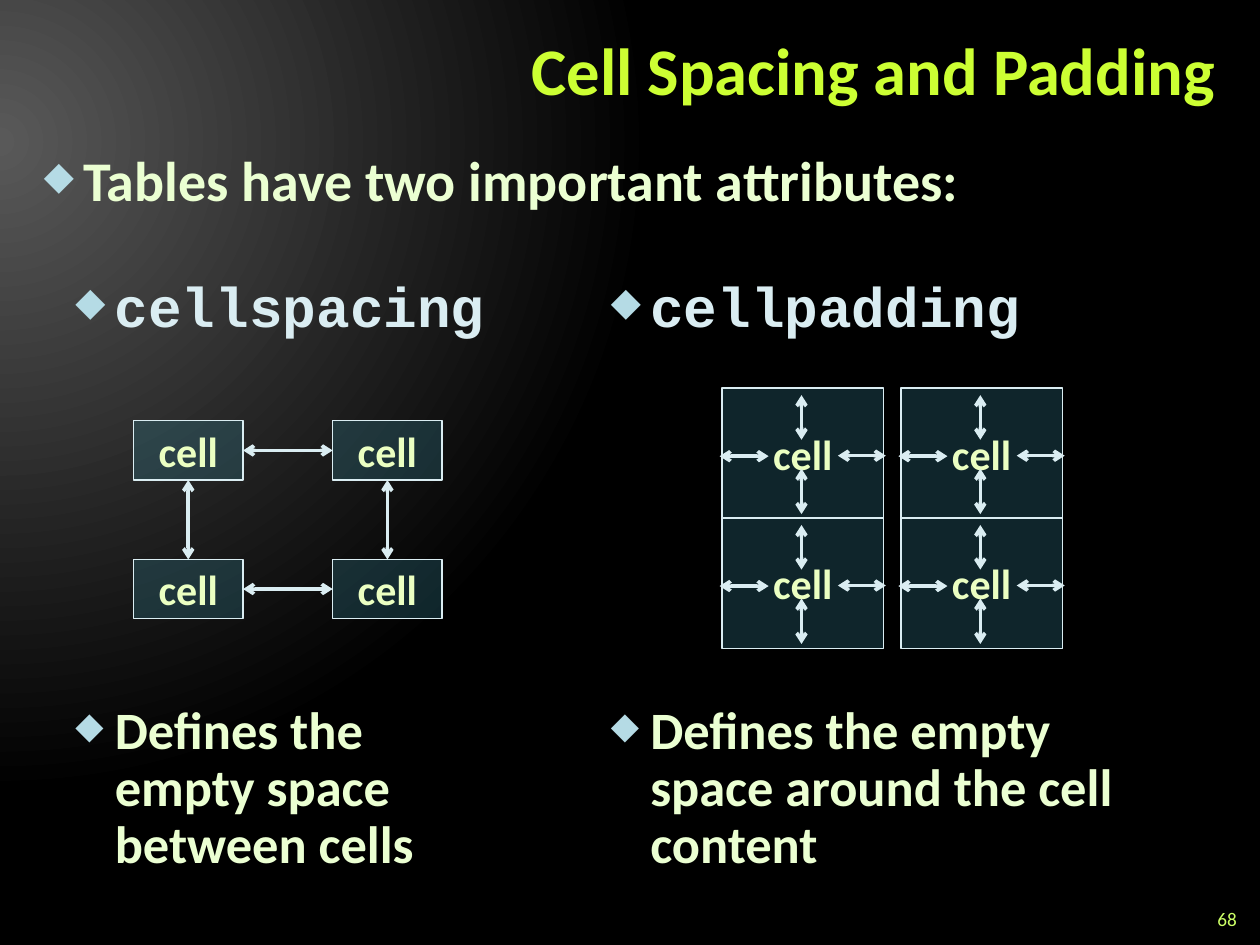
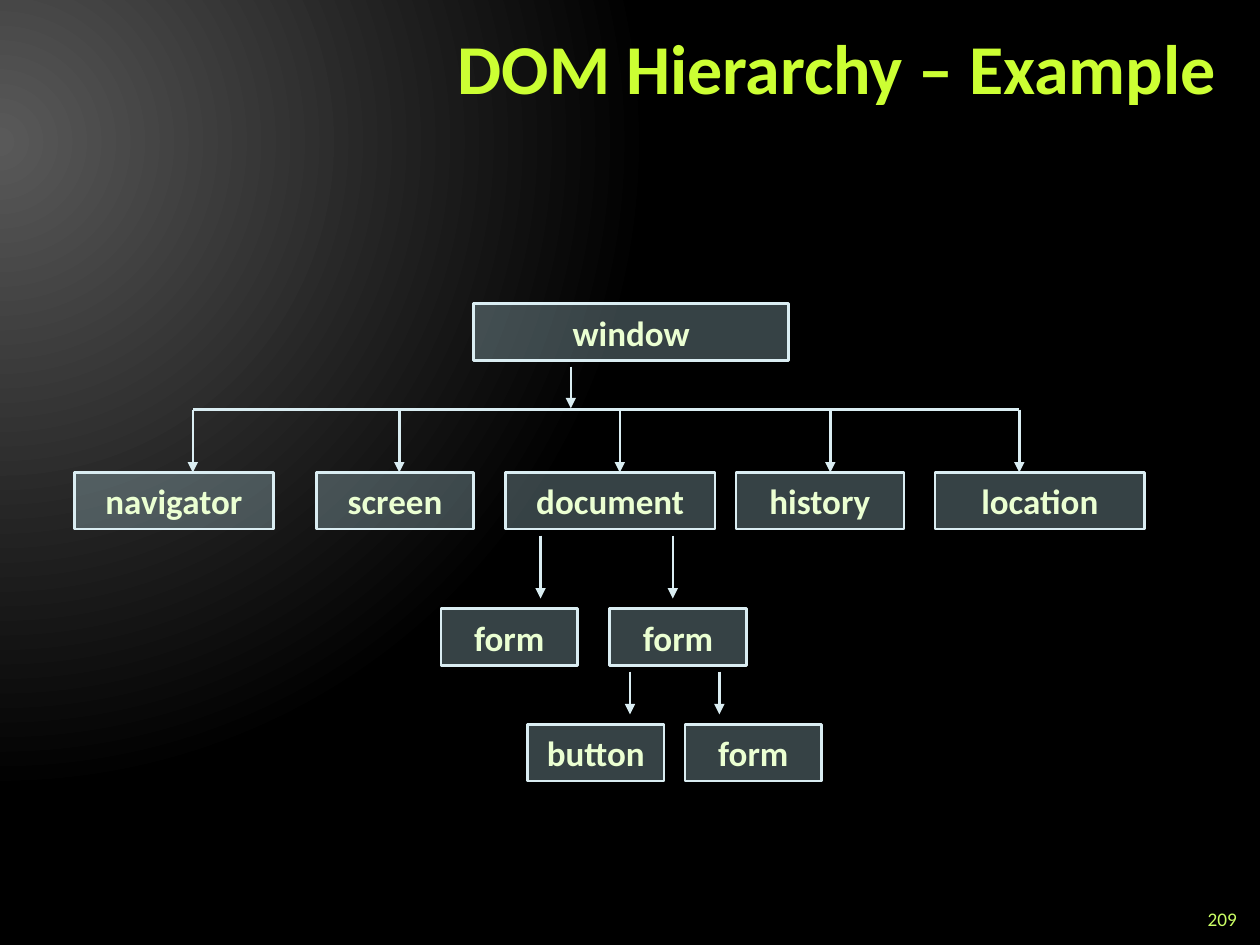
import dataclasses
import itertools

import lxml.etree
import pptx
import pptx.dml.color
import pptx.enum.shapes
import pptx.enum.text
import pptx.oxml.ns
import pptx.util


@dataclasses.dataclass(frozen=True)
class Theme:
    font: str = "Calibri"
    code_font: str = "Courier New"
    glow: str = "595959"
    dark: str = "000000"
    title: str = "CCFF33"
    number: str = "CCFF66"
    text: str = "EBFFD2"
    code: str = "DAEDF2"
    line: str = "DAEDF2"
    bullet: str = "B5DBE5"
    cell_fill: str = "337D8F"
    cell_text: str = "EBFFC2"
    node_fill: str = "B5DBE5"
    alpha: int = 30
    title_size: int = 40
    long_title_size: int = 38
    lead_size: int = 32
    note_size: int = 30
    cell_size: int = 24
    node_size: int = 20
    number_size: int = 11
    cell_line: float = 0.75
    node_line: float = 1.5
    arrow_line: float = 2


def rgb(color):
    return pptx.dml.color.RGBColor.from_string(color)


def pts(*values):
    return [pptx.util.Pt(v) for v in values]


def add_xml(parent, tag, **attrs):
    child = lxml.etree.SubElement(parent, pptx.oxml.ns.qn(tag))
    for name, value in attrs.items():
        child.set(name, str(value))
    return child


class Deck:
    def __init__(self, theme):
        self.theme = theme
        self.prs = pptx.Presentation()
        self.prs.slide_width, self.prs.slide_height = pts(720, 540)
        self.s = None
        self.background()

    def background(self):
        """Give the master a circular glow from the upper left."""
        master = self.prs.slide_master
        fill = master.background.fill
        fill.gradient()
        stops = ((0, self.theme.glow), (0.83, self.theme.dark))
        for stop, (position, color) in zip(fill.gradient_stops, stops):
            stop.position = position
            stop.color.rgb = rgb(color)
        grad = master.element.find(".//" + pptx.oxml.ns.qn("a:gradFill"))
        for lin in grad.findall(pptx.oxml.ns.qn("a:lin")):
            grad.remove(lin)
        circle = add_xml(grad, "a:path", path="circle")
        add_xml(circle, "a:fillToRect", l=20000, t=30000, r=135000, b=100000)

    def slide(self, title, number, size=None):
        self.s = self.prs.slides.add_slide(self.prs.slide_layouts[5])
        sp = self.s.shapes.title
        sp.left, sp.top, sp.width, sp.height = pts(144, 6, 558, 72)
        right = pptx.enum.text.PP_ALIGN.RIGHT
        self.label(sp, title, size or self.theme.title_size, self.theme.title,
                   align=right)
        sp.text_frame.paragraphs[0].line_spacing = pptx.util.Pt(40)
        sp = self.s.shapes.add_textbox(*pts(678, 516, 36, 18))
        self.label(sp, number, self.theme.number_size, self.theme.number,
                   bold=False, align=right)

    def label(self, sp, text, size, color, font=None, bold=True, align=None,
              wrap=True, anchor=pptx.enum.text.MSO_ANCHOR.MIDDLE):
        """Set and format the single paragraph of a shape."""
        tf = sp.text_frame
        tf.text = text
        tf.word_wrap = wrap
        tf.auto_size = pptx.enum.text.MSO_AUTO_SIZE.NONE
        tf.vertical_anchor = anchor
        p = tf.paragraphs[0]
        p.alignment = align
        r = p.runs[0]
        r.font.name = font or self.theme.font
        r.font.size = pptx.util.Pt(size)
        r.font.bold = bold
        r.font.color.rgb = rgb(color)

    def bullet(self, text, left, top, width, height, size, color=None,
               font=None):
        sp = self.s.shapes.add_textbox(*pts(left, top, width, height))
        self.label(sp, text, size, color or self.theme.text, font,
                   anchor=pptx.enum.text.MSO_ANCHOR.TOP)
        p = sp.text_frame.paragraphs[0]
        pPr = p._p.get_or_add_pPr()
        indent = pptx.util.Pt(22.5)
        pPr.set("marL", str(indent))
        pPr.set("indent", str(-indent))
        add_xml(add_xml(pPr, "a:buClr"), "a:srgbClr", val=self.theme.bullet)
        add_xml(pPr, "a:buSzPct", val=70000)
        add_xml(pPr, "a:buChar", char="◆")
        p.line_spacing = 0.9

    def box(self, text, left, top, width, height, fill, line, size, color,
            wrap=True):
        """Add a see-through rectangle with a centred label."""
        sp = self.s.shapes.add_shape(
            pptx.enum.shapes.MSO_SHAPE.RECTANGLE,
            *pts(left, top, width, height))
        sp.shadow.inherit = False
        sp.fill.solid()
        sp.fill.fore_color.rgb = rgb(fill)
        solid = sp.element.spPr.find(pptx.oxml.ns.qn("a:solidFill"))
        add_xml(solid[0], "a:alpha", val=self.theme.alpha * 1000)
        sp.line.color.rgb = rgb(self.theme.line)
        sp.line.width = pptx.util.Pt(line)
        self.label(sp, text, size, color, wrap=wrap,
                   align=pptx.enum.text.PP_ALIGN.CENTER)
        return sp

    def cell(self, left, top, width, height):
        t = self.theme
        return self.box("cell", left, top, width, height, t.cell_fill,
                        t.cell_line, t.cell_size, t.cell_text, wrap=False)

    def node(self, text, left, top, width):
        t = self.theme
        return self.box(text, left, top, width, 32.4, t.node_fill,
                        t.node_line, t.node_size, t.text)

    def connector(self, x1, y1, x2, y2, width, head=None, tail=None):
        c = self.s.shapes.add_connector(
            pptx.enum.shapes.MSO_CONNECTOR.STRAIGHT, *pts(x1, y1, x2, y2))
        c.line.color.rgb = rgb(self.theme.line)
        c.line.width = pptx.util.Pt(width)
        spPr = c.element.spPr
        ln = spPr.find(pptx.oxml.ns.qn("a:ln"))
        for tag, kind in (("a:headEnd", head), ("a:tailEnd", tail)):
            if kind:
                add_xml(ln, tag, type=kind)
        add_xml(spPr, "a:effectLst")
        return c

    def double_arrow(self, x1=0, y1=0, x2=0, y2=0):
        return self.connector(x1, y1, x2, y2, self.theme.arrow_line,
                              "arrow", "arrow")

    def join(self, begin, begin_side, end, end_side):
        c = self.double_arrow()
        c.begin_connect(begin, begin_side)
        c.end_connect(end, end_side)

    def branch(self, x, top, bottom):
        self.connector(x, top, x, bottom, self.theme.node_line,
                       tail="triangle")


def cell_spacing_slide(deck):
    t = deck.theme
    deck.slide("Cell Spacing and Padding", "68", t.long_title_size)
    deck.bullet("Tables have two important attributes:", 18, 84, 684, 42,
                t.lead_size)
    columns = (
        ("cellspacing", "Defines the empty space between cells", 36, 264),
        ("cellpadding", "Defines the empty space around the cell content",
         342, 336),
    )
    for name, meaning, left, width in columns:
        deck.bullet(name, left, 156.2, width, 42, t.lead_size, t.code,
                    t.code_font)
        deck.bullet(meaning, left, 399, width, 108, t.note_size)

    top_left, top_right, low_left, low_right = [
        deck.cell(left, top, 62.6, 33.8)
        for top, left in itertools.product((240.5, 319.7), (76.3, 190.1))]
    deck.join(top_left, 3, top_right, 1)
    deck.join(low_left, 3, low_right, 1)
    deck.join(top_left, 2, low_left, 0)
    deck.join(top_right, 2, low_right, 0)

    padding_arrows = (
        (45.4, 46, 45.4, 72),
        (-1.4, 38.9, 26.6, 38.9),
        (66.2, 38.6, 93.6, 38.6),
        (45.4, 4, 45.4, 29.5),
    )
    for left, top in itertools.product((412.6, 514.8), (221.8, 296)):
        deck.cell(left, top, 92.2, 74.5)
        for x1, y1, x2, y2 in padding_arrows:
            deck.double_arrow(left + x1, top + y1, left + x2, top + y2)


def dom_slide(deck):
    deck.slide("DOM Hierarchy – Example", "209")
    levels = (
        (173.5, (("window", 270.7, 180),)),
        (270, (("navigator", 42.5, 113.8), ("screen", 180.7, 90),
               ("document", 288.7, 120), ("history", 420.5, 96),
               ("location", 534.2, 120))),
        (347.8, (("form", 252, 78), ("form", 348.5, 78))),
        (414, (("button", 301.5, 78), ("form", 391.5, 78))),
    )
    for top, nodes in levels:
        for text, left, width in nodes:
            deck.node(text, left, top, width)

    bus = 234
    drops = (110.2, 228.2, 354.2, 474.5, 582.5)
    deck.connector(drops[0], bus, drops[-1], bus, deck.theme.node_line)
    branches = (
        (209.5, bus - 0.7, (326.2,)),
        (bus, 270, drops),
        (306, 342, (308.9, 384.5)),
        (383.8, 408.2, (360, 411.1)),
    )
    for top, bottom, xs in branches:
        for x in xs:
            deck.branch(x, top, bottom)


def main():
    deck = Deck(Theme())
    cell_spacing_slide(deck)
    dom_slide(deck)
    deck.prs.save("out.pptx")


if __name__ == "__main__":
    main()
